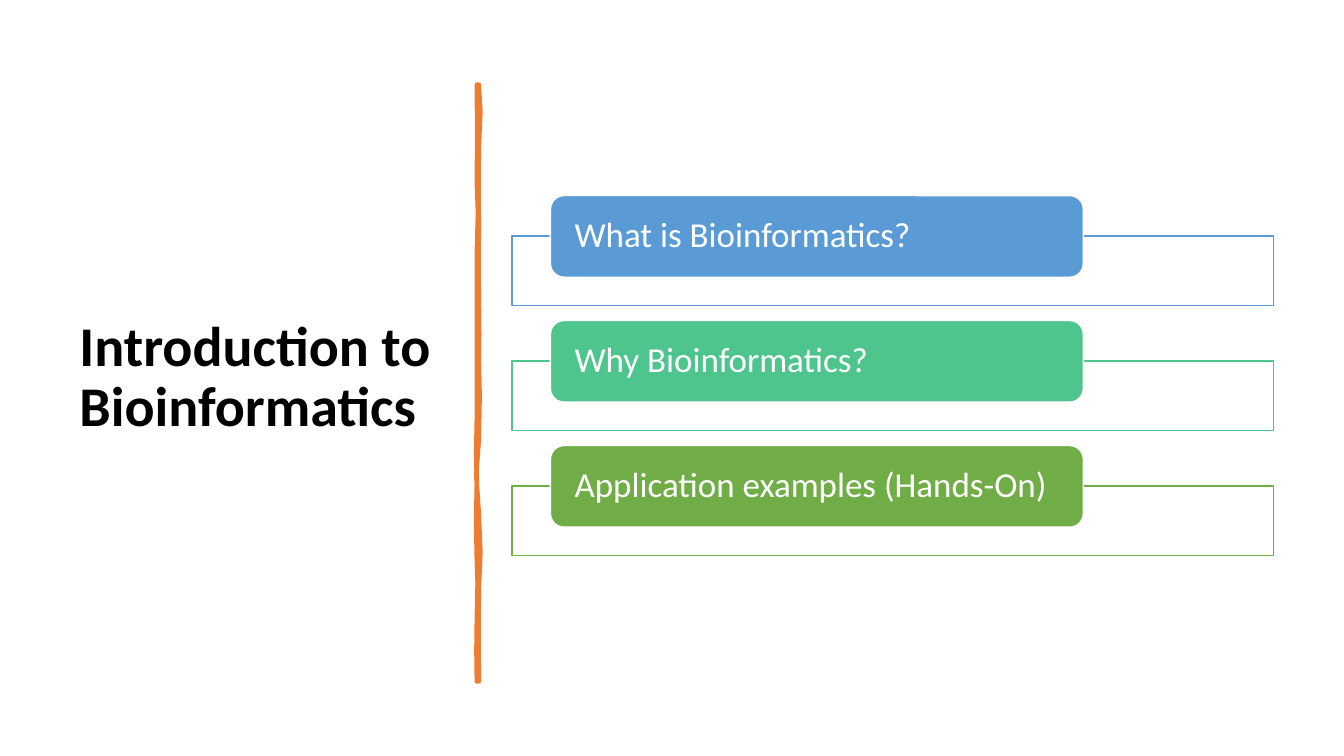
from dataclasses import dataclass

from lxml.etree import SubElement
from pptx import Presentation
from pptx.dml.color import RGBColor
from pptx.enum.shapes import MSO_SHAPE
from pptx.enum.text import MSO_ANCHOR, PP_ALIGN
from pptx.oxml.ns import qn
from pptx.util import Inches, Pt


@dataclass(frozen=True)
class Theme:
    face: str = "Calibri"
    ink: str = "000000"
    paper: str = "FFFFFF"
    stroke: str = "ED7D31"
    hues: tuple = ("5B9BD5", "4DC58D", "70AD47")
    title: float = 40
    label: float = 25
    thin: float = 1
    thick: float = 3.25


THEME = Theme()
TOPICS = ("What is Bioinformatics?", "Why Bioinformatics?", "Application examples (Hands-On)")
BRUSH = (
    ((0.07, 0.18), (0.07, 0.35), (0.05, 0.62)),
    ((0.03, 0.89), (0.06, 1.11), (0.05, 1.42)),
    ((0.04, 1.73), (0.05, 1.78), (0.05, 2.10)),
    ((0.04, 2.41), (0.07, 2.58), (0.05, 2.72)),
    ((0.03, 2.86), (0.09, 3.30), (0.05, 3.52)),
    ((0.01, 3.73), (0.02, 4.00), (0.05, 4.26)),
    ((0.07, 4.52), (0.07, 4.80), (0.05, 5.00)),
    ((0.03, 5.19), (0.06, 5.66), (0.05, 5.92)),
    ((0.04, 5.92), (0.03, 5.92), (0.03, 5.92)),
    ((0.04, 5.62), (0.01, 5.60), (0.03, 5.29)),
    ((0.04, 4.99), (0.04, 4.86), (0.03, 4.73)),
    ((0.02, 4.60), (0.02, 4.11), (0.03, 3.93)),
    ((0.03, 3.75), (0.01, 3.61), (0.03, 3.31)),
    ((0.04, 3.02), (0.02, 2.89), (0.03, 2.51)),
    ((0.04, 2.14), (0.02, 1.97), (0.03, 1.66)),
    ((0.04, 1.34), (0.05, 1.16), (0.03, 0.97)),
    ((0.00, 0.79), (0.07, 0.20), (0.03, 0.00)),
)


def apply(target, values):
    for name, value in values.items():
        setattr(target, name, value)


def write(shape, text, size, color, bold, inset):
    frame = shape.text_frame
    apply(frame, {"word_wrap": True, "vertical_anchor": MSO_ANCHOR.MIDDLE,
                  "margin_left": Inches(inset), "margin_right": Inches(inset)})
    para = frame.paragraphs[0]
    apply(para, {"text": text, "line_spacing": 0.9, "alignment": PP_ALIGN.LEFT})
    apply(para.font, {"name": THEME.face, "size": Pt(size), "bold": bold})
    para.font.color.rgb = RGBColor.from_string(color)


def paint(shape, fill, line, width):
    shape.shadow.inherit = False
    shape.fill.solid()
    shape.fill.fore_color.rgb = RGBColor.from_string(fill)
    shape.line.color.rgb = RGBColor.from_string(line)
    shape.line.width = Pt(width)


def add_title(slide, left, top, width, height):
    box = slide.shapes.add_textbox(*map(Inches, (left, top, width, height)))
    write(box, "Introduction to Bioinformatics", THEME.title, THEME.ink, True, 0.1)


def add_brush(slide, left, top):
    start = prior = (0.05, 0)
    dots = []
    for one, two, end in BRUSH:
        middle = [(a + 3 * b + 3 * c + d) / 8 for a, b, c, d in zip(prior, one, two, end)]
        dots += [tuple(map(Inches, middle)), tuple(map(Inches, end))]
        prior = end
    form = slide.shapes.build_freeform(*map(Inches, start))
    form.add_line_segments(dots, close=True)
    stroke = form.convert_to_shape(Inches(left), Inches(top))
    paint(stroke, THEME.stroke, THEME.stroke, THEME.thick)


def add_topic(slide, text, hue, left, top, width):
    frame = slide.shapes.add_shape(
        MSO_SHAPE.RECTANGLE, *map(Inches, (left, top + 0.4, width, 0.69)))
    paint(frame, THEME.paper, hue, THEME.thin)
    tint = frame.element.spPr.find(qn("a:solidFill"))[0]
    SubElement(tint, qn("a:alpha"), val="90000")
    label = slide.shapes.add_shape(
        MSO_SHAPE.ROUNDED_RECTANGLE,
        *map(Inches, (left + 0.38, top, width * 0.7, 0.81)))
    paint(label, hue, THEME.paper, THEME.thin)
    write(label, text, THEME.label, THEME.paper, False, 0.2)


def add_topics(slide, left, top, width, pitch):
    for row, (text, hue) in enumerate(zip(TOPICS, THEME.hues)):
        add_topic(slide, text, hue, left, top + row * pitch, width)


def main():
    deck = Presentation()
    apply(deck, {"slide_width": Inches(13.33), "slide_height": Inches(7.5)})
    slide = deck.slides.add_slide(deck.slide_layouts[6])
    add_title(slide, 0.69, 0.7, 3.74, 6.11)
    add_brush(slide, 4.7, 0.84)
    add_topics(slide, 5.08, 1.94, 7.55, 1.24)
    deck.save("out.pptx")


if __name__ == "__main__":
    main()
